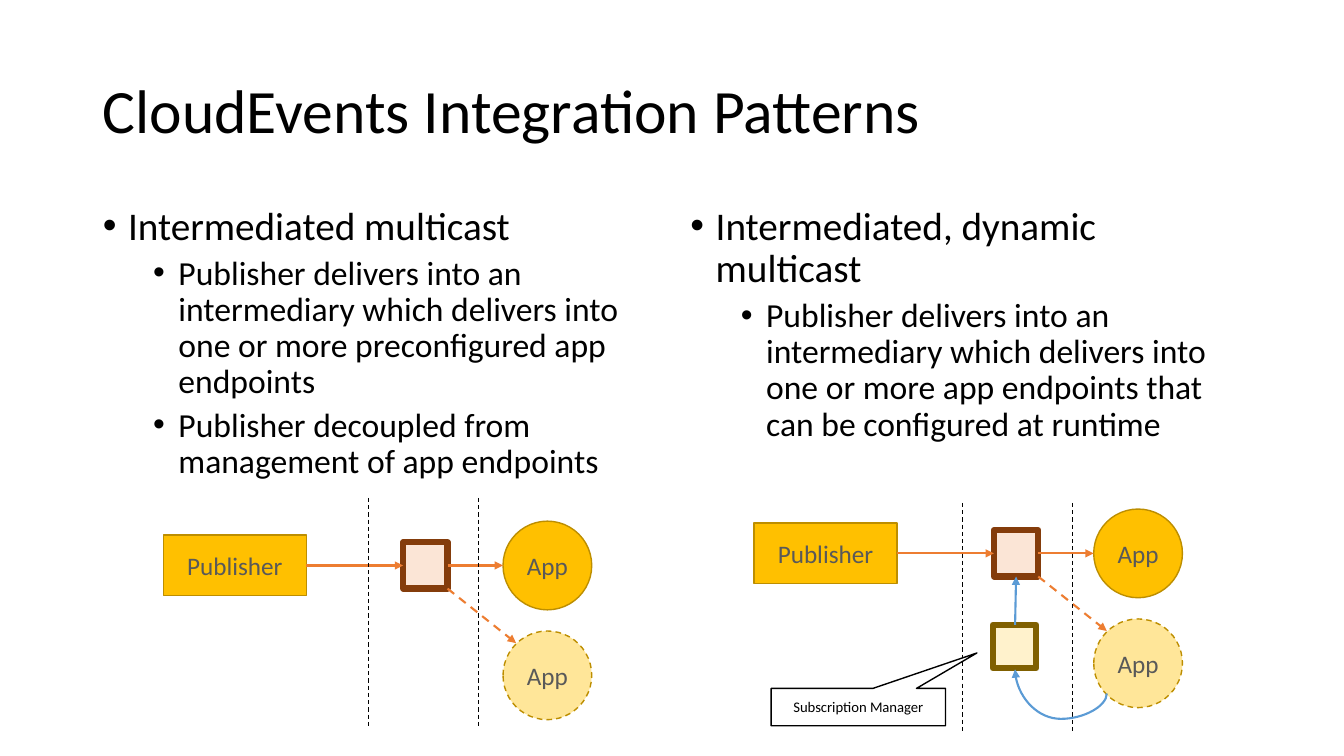
"""Build the slide on CloudEvents integration patterns."""
import dataclasses

import lxml.etree
import pptx
import pptx.dml.color
import pptx.enum.dml
import pptx.enum.shapes
import pptx.enum.text
import pptx.oxml.ns
import pptx.util

COLUMNS, ROWS = 133.33, 75
SHAPES = pptx.enum.shapes.MSO_SHAPE
CONNECTORS = pptx.enum.shapes.MSO_CONNECTOR
ALIGN = pptx.enum.text.PP_ALIGN
ANCHOR = pptx.enum.text.MSO_ANCHOR
DASH = pptx.enum.dml.MSO_LINE.DASH


@dataclasses.dataclass(frozen=True)
class Theme:
    """Colours, font and type sizes of the slide."""

    font: str = "Calibri"
    text: str = "000000"
    muted: str = "595959"
    white: str = "FFFFFF"
    gold: str = "FFC000"
    pale_gold: str = "FFE699"
    gold_edge: str = "BD8E00"
    broker: str = "FBE5D6"
    broker_edge: str = "843C0B"
    manager: str = "FFF2CC"
    manager_edge: str = "806000"
    delivery: str = "ED7D31"
    subscription: str = "5B9BD5"
    title_size: float = 44
    list_sizes: tuple = (28, 24)
    label_size: float = 18
    note_size: float = 10.5


class SlideBuilder:
    """Draws elements on one slide, measured in grid columns and rows."""

    def __init__(self, presentation, theme):
        """Add a slide with a title and two lists."""
        self.theme = theme
        self.column = presentation.slide_width / COLUMNS
        self.row = presentation.slide_height / ROWS
        self.slide = presentation.slides.add_slide(presentation.slide_layouts[3])
        self.shapes = self.slide.shapes

    def scale(self, *lengths):
        """Turn alternating columns and rows into slide units."""
        units = (self.column, self.row) * 2
        return [pptx.util.Emu(round(n * unit)) for n, unit in zip(lengths, units)]

    def place(self, shape, *box):
        """Move and size a shape."""
        shape.left, shape.top, shape.width, shape.height = self.scale(*box)

    def style_font(self, paragraph, size, color):
        """Set the font of a paragraph."""
        paragraph.font.name = self.theme.font
        paragraph.font.size = pptx.util.Pt(size)
        paragraph.font.color.rgb = pptx.dml.color.RGBColor.from_string(color)

    def style_line(self, line, color, width, dashed):
        """Set the colour, width and dash of a line."""
        line.color.rgb = pptx.dml.color.RGBColor.from_string(color)
        line.width = pptx.util.Pt(width)
        if dashed:
            line.dash_style = DASH

    def title(self, text, *box):
        """Fill the title placeholder."""
        shape = self.shapes.title
        self.place(shape, *box)
        frame = shape.text_frame
        frame.text = text
        frame.auto_size = pptx.enum.text.MSO_AUTO_SIZE.NONE
        frame.vertical_anchor = ANCHOR.MIDDLE
        paragraph = frame.paragraphs[0]
        paragraph.alignment = ALIGN.LEFT
        paragraph.line_spacing = 0.9
        self.style_font(paragraph, self.theme.title_size, self.theme.text)

    def bullets(self, index, items, *box):
        """Fill a body placeholder with one heading and its sub-points."""
        shape = self.slide.placeholders[index]
        self.place(shape, *box)
        frame = shape.text_frame
        frame.text = "\n".join(items)
        frame.auto_size = pptx.enum.text.MSO_AUTO_SIZE.NONE
        for position, paragraph in enumerate(frame.paragraphs):
            level = min(position, 1)
            paragraph.level = level
            paragraph.line_spacing = 0.9
            paragraph.space_before = pptx.util.Pt(5 * level)
            properties = paragraph._p.get_or_add_pPr()
            properties.set("marL", str(pptx.util.Inches(0.25 + 0.5 * level)))
            properties.set("indent", str(pptx.util.Inches(-0.25)))
            for tag, key, value in (("a:buFont", "typeface", "Arial"), ("a:buChar", "char", "•")):
                element = lxml.etree.SubElement(properties, pptx.oxml.ns.qn(tag))
                element.set(key, value)
            self.style_font(paragraph, self.theme.list_sizes[level], self.theme.text)

    def node(self, kind, box, fill, edge, text="", width=1, dashed=False, size=None, color=None):
        """Draw a filled shape with an optional centred label."""
        shape = self.shapes.add_shape(kind, *self.scale(*box))
        shape.shadow.inherit = False
        shape.fill.solid()
        shape.fill.fore_color.rgb = pptx.dml.color.RGBColor.from_string(fill)
        self.style_line(shape.line, edge, width, dashed)
        if text:
            frame = shape.text_frame
            frame.text = text
            frame.vertical_anchor = ANCHOR.MIDDLE
            paragraph = frame.paragraphs[0]
            paragraph.alignment = ALIGN.CENTER
            self.style_font(paragraph, size or self.theme.label_size, color or self.theme.muted)
        return shape

    def link(self, ends, color, width=1.5, dashed=False, arrow=True, kind=CONNECTORS.STRAIGHT):
        """Draw a connector, by default with an arrowhead at its end."""
        connector = self.shapes.add_connector(kind, *self.scale(*ends))
        self.style_line(connector.line, color, width, dashed)
        if arrow:
            line = connector.line._get_or_add_ln()
            head = lxml.etree.SubElement(line, pptx.oxml.ns.qn("a:tailEnd"))
            head.set("type", "triangle")
        lxml.etree.SubElement(connector._element.spPr, pptx.oxml.ns.qn("a:effectLst"))
        return connector

    def loop(self, start_x, start_y, end_x, end_y, bend, color):
        """Draw a curved arrow that dips below both of its ends."""
        ends = (start_x, start_y, end_x, end_y)
        connector = self.link(ends, color, kind=CONNECTORS.CURVE)
        across, down = start_x - end_x, start_y - end_y
        left = (start_x + end_x - down) / 2
        top = (start_y + end_y - across) / 2
        self.place(connector, left, top, down, across)
        connector.rotation = 90
        transform = connector._element.spPr.xfrm
        transform.attrib.pop("flipV", None)
        transform.set("flipH", "1")
        geometry = connector._element.spPr.find(pptx.oxml.ns.qn("a:prstGeom"))
        guides = geometry.find(pptx.oxml.ns.qn("a:avLst"))
        guide = lxml.etree.SubElement(guides, pptx.oxml.ns.qn("a:gd"))
        guide.set("name", "adj1")
        guide.set("fmla", f"val {round(bend * 100000)}")

    def multicast(self, left, axis, boundary_left, boundary_top):
        """Draw a publisher, its intermediary, two apps and the boundaries."""
        theme = self.theme
        self.node(SHAPES.RECTANGLE, (left, axis - 3, 14.2, 6), theme.gold, theme.gold_edge, "Publisher")
        for drop, fill, dashed in ((0, theme.gold, False), (10.9, theme.pale_gold, True)):
            box = (left + 33.7, axis - 4.4 + drop, 8.8, 8.8)
            self.node(SHAPES.OVAL, box, fill, theme.gold_edge, "App", dashed=dashed)
        broker = (left + 23.8, axis - 2.3, 4.4, 4.6)
        self.node(SHAPES.RECTANGLE, broker, theme.broker, theme.broker_edge, width=4.5)
        self.link((left + 14.2, axis, left + 23.8, axis), theme.delivery)
        self.link((left + 28.2, axis, left + 33.7, axis), theme.delivery)
        self.link((left + 28.2, axis + 2.3, left + 35, axis + 7.7), theme.delivery, dashed=True)
        for x in (boundary_left, boundary_left + 10.9):
            ends = (x, boundary_top, x, boundary_top + 22.6)
            self.link(ends, theme.text, 0.75, dashed=True, arrow=False)

    def subscription_manager(self):
        """Draw the subscription manager with its arrows and callout."""
        theme = self.theme
        self.node(SHAPES.RECTANGLE, (98.5, 62, 4.3, 4.3), theme.manager, theme.manager_edge, width=4.5)
        self.loop(109.8, 68.8, 100.7, 66.4, -1.05, theme.subscription)
        self.link((100.7, 62, 100.8, 57.2), theme.subscription)
        callout = self.node(
            SHAPES.RECTANGULAR_CALLOUT, (76.5, 68.3, 17.3, 3.7), theme.white, theme.text,
            "Subscription Manager", size=theme.note_size, color=theme.text,
        )
        callout.adjustments[0], callout.adjustments[1] = 0.68, -1.45


def main():
    """Build and save the presentation."""
    presentation = pptx.Presentation()
    presentation.slide_width = pptx.util.Inches(13.33)
    presentation.slide_height = pptx.util.Inches(7.5)
    builder = SlideBuilder(presentation, Theme())
    builder.title("CloudEvents Integration Patterns", 9.2, 4, 115, 14.5)
    builder.bullets(1, (
        "Intermediated multicast",
        "Publisher delivers into an intermediary which delivers into one or more preconfigured app endpoints",
        "Publisher decoupled from management of app endpoints",
    ), 9.2, 20, 56.7, 47.6)
    builder.bullets(2, (
        "Intermediated, dynamic multicast",
        "Publisher delivers into an intermediary which delivers into one or more app endpoints that can be "
        "configured at runtime",
    ), 67.5, 20, 56.7, 47.6)
    builder.multicast(16.2, 56.1, 36.6, 49.4)
    builder.multicast(74.8, 54.9, 95.5, 49.9)
    builder.subscription_manager()
    presentation.save("out.pptx")


if __name__ == "__main__":
    main()
